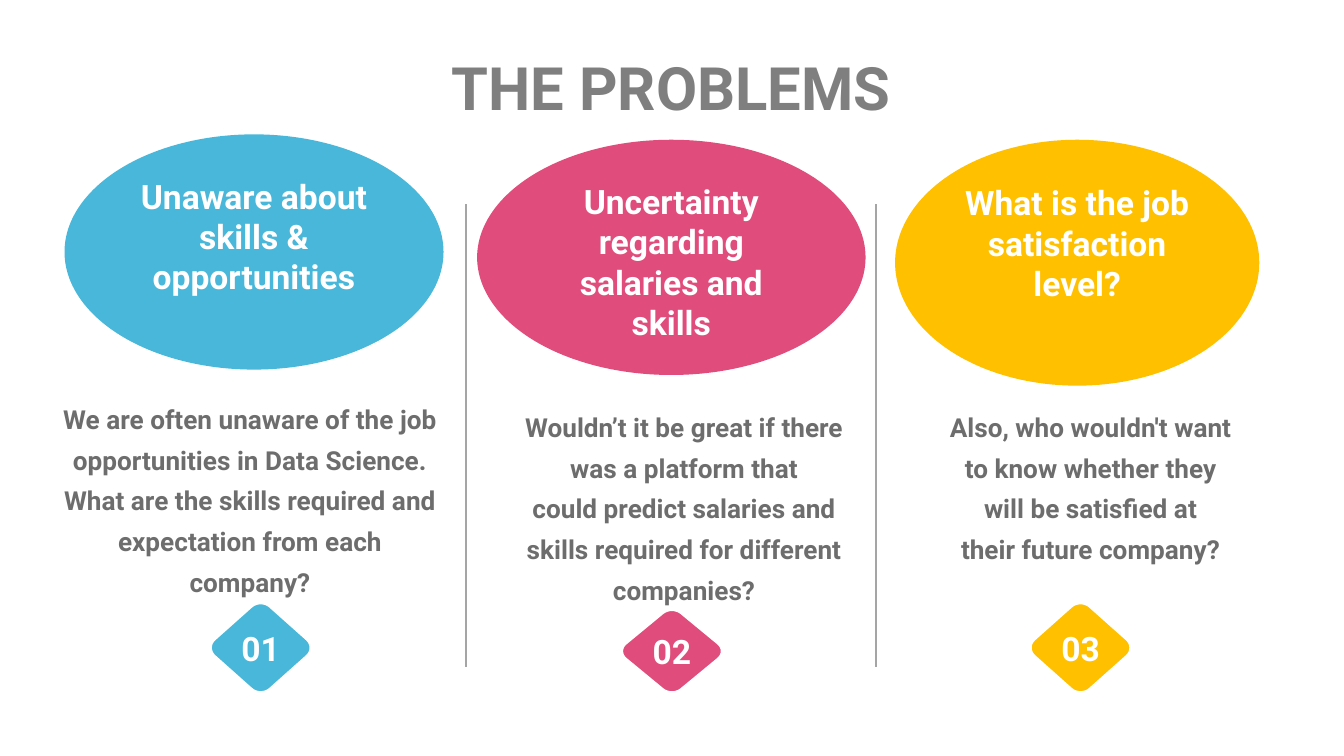
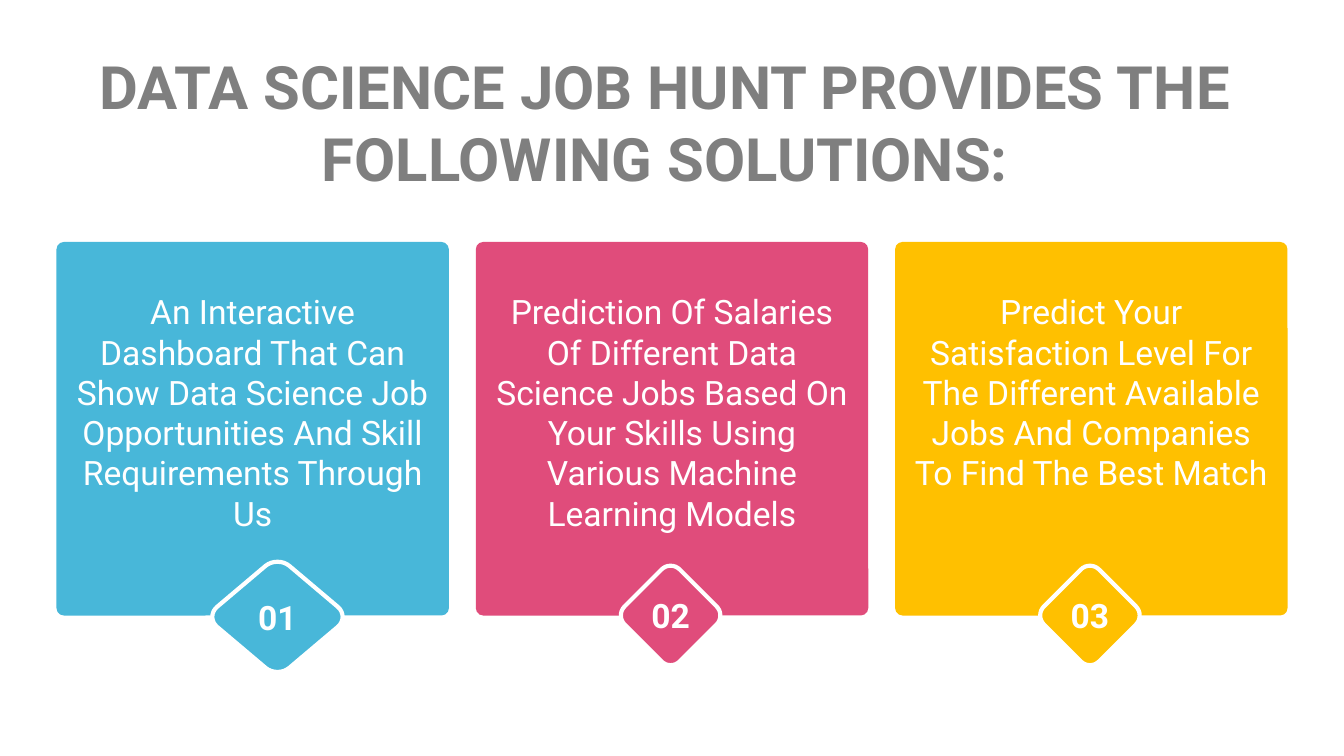
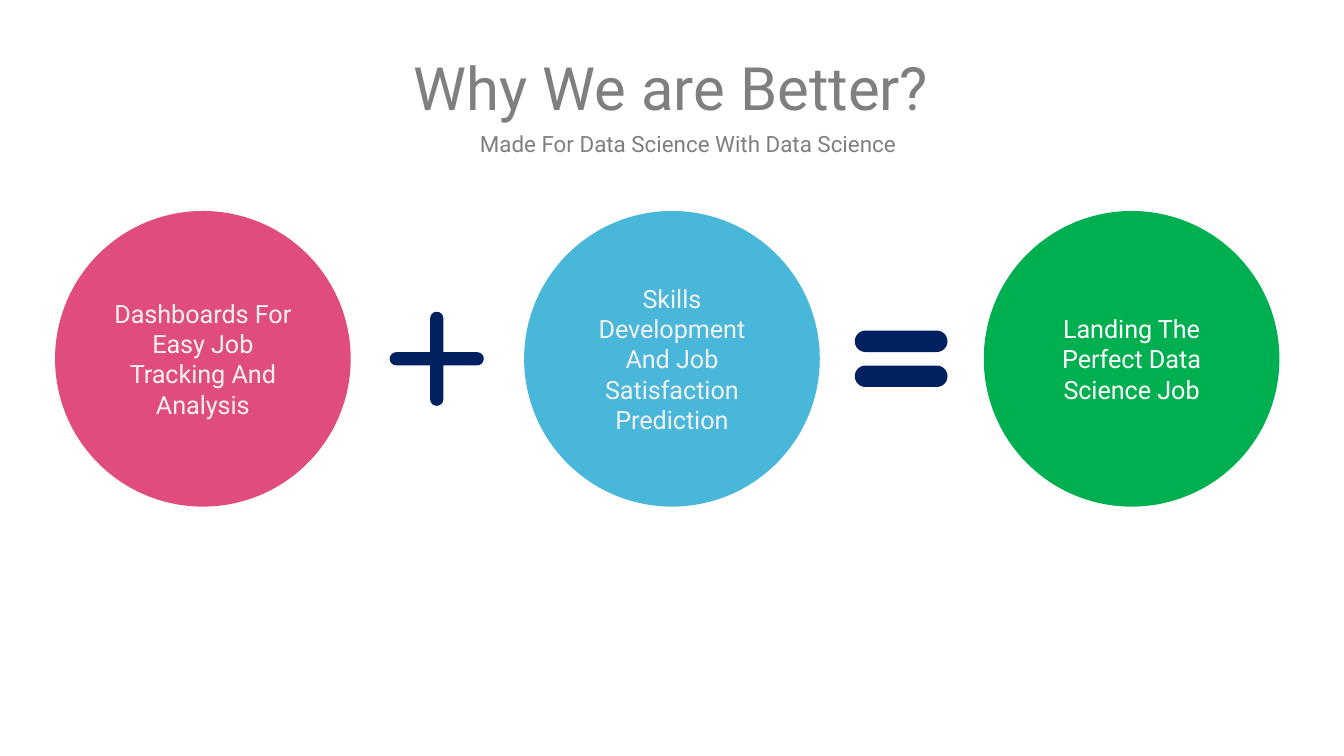
from math import cos, radians, sin

from lxml import etree
from pptx import Presentation
from pptx.dml.color import RGBColor
from pptx.enum.shapes import MSO_CONNECTOR, MSO_SHAPE as SHAPE
from pptx.enum.text import MSO_ANCHOR as ANCHOR, PP_ALIGN
from pptx.oxml.ns import qn
from pptx.util import Inches, Pt

FONT = "Roboto"
COLORS = {
    "white": "FFFFFF", "pale": "F2F2F2", "title": "7F7F7F", "body": "6D6D6D",
    "divider": "A5A5A5", "blue": "48B7D9", "pink": "E04C7B",
    "yellow": "FFC000", "green": "00B050", "navy": "002060",
}
SEQUENCE = ("blue", "pink", "yellow")
SHAPE_INSETS = (0.1, 0.05, 0.1, 0.05)
HARD_SPACE = chr(160)


def color(name):
    return RGBColor.from_string(COLORS[name])


def write(shape, *texts, size=18, ink="white", bold=False, anchor=ANCHOR.MIDDLE,
          insets=SHAPE_INSETS, spacing=None):
    """Put one centred paragraph per text into the shape."""
    frame = shape.text_frame
    frame.word_wrap = True
    frame.vertical_anchor = anchor
    (frame.margin_left, frame.margin_top,
     frame.margin_right, frame.margin_bottom) = map(Inches, insets)
    for index, text in enumerate(texts):
        paragraph = frame.add_paragraph() if index else frame.paragraphs[0]
        paragraph.alignment = PP_ALIGN.CENTER
        paragraph.line_spacing = spacing
        run = paragraph.add_run()
        run.text = text
        run.font.name = FONT
        run.font.size = Pt(size)
        run.font.bold = bold
        run.font.color.rgb = color(ink)


def add_text(slide, box, *texts, insets=(0, 0, 0, 0), **style):
    text_box = slide.shapes.add_textbox(*map(Inches, box))
    write(text_box, *texts, insets=insets, **style)


def add_title(slide, text, box=(0.42, 0.37, 9.15, 0.55), bold=True):
    add_text(slide, box, text, size=32, ink="title", bold=bold)


def paint(shape, fill, outline=None):
    """Fill the shape, with a white outline of the given width if any."""
    shape.shadow.inherit = False
    shape.fill.solid()
    shape.fill.fore_color.rgb = color(fill)
    if outline:
        shape.line.color.rgb = color("white")
        shape.line.width = Pt(outline)
    else:
        shape.line.fill.background()


def add_preset(slide, kind, box, fill):
    shape = slide.shapes.add_shape(kind, *map(Inches, box))
    paint(shape, fill)
    return shape


def arc(center_x, center_y, radius, start, end, steps=8):
    angles = [radians(start + (end - start) * i / steps) for i in range(steps + 1)]
    return [(center_x + radius * cos(a), center_y + radius * sin(a)) for a in angles]


def add_outline(slide, box, points, fill, outline=None):
    """Draw a closed outline whose points are fractions of the box."""
    left, top, width, height = box
    placed = [(Inches(left + x * width), Inches(top + y * height)) for x, y in points]
    builder = slide.shapes.build_freeform(*placed[0])
    builder.add_line_segments(placed[1:], close=True)
    shape = builder.convert_to_shape()
    paint(shape, fill, outline)
    return shape


def rounded_tips(radius, sweep):
    """Return, for each of four directions, its angle and a rounded tip."""
    reach = 0.5 - radius
    for direction in (270, 0, 90, 180):
        angle = radians(direction)
        yield direction, arc(0.5 + reach * cos(angle), 0.5 + reach * sin(angle),
                             radius, direction - sweep, direction + sweep)


def add_diamond(slide, box, number, fill, outline):
    points = [point for _, tip in rounded_tips(0.13, 45) for point in tip]
    diamond = add_outline(slide, box, points, fill, outline)
    write(diamond, f"{number:02}", bold=True)


def add_plus(slide, box):
    half = 0.07
    points = []
    for direction, tip in rounded_tips(half, 90):
        inner = radians(direction + 45)
        points += tip
        points.append((0.5 + half * 2 ** 0.5 * cos(inner),
                       0.5 + half * 2 ** 0.5 * sin(inner)))
    add_outline(slide, box, points, "navy")


def add_equals(slide, box):
    left, top, width, height = box
    bar = 0.16
    for bar_top in (top, top + height - bar):
        shape = add_preset(slide, SHAPE.ROUNDED_RECTANGLE,
                           (left, bar_top, width, bar), "navy")
        shape.adjustments[0] = 0.5


def add_divider(slide, x, top, bottom):
    line = slide.shapes.add_connector(
        MSO_CONNECTOR.STRAIGHT, Inches(x), Inches(top), Inches(x), Inches(bottom))
    line.line.color.rgb = color("divider")
    line.line.width = Pt(1)
    etree.SubElement(line._element.spPr, qn("a:effectLst"))


def build_problems(slide):
    add_title(slide, "THE PROBLEMS")
    for x in (3.47, 6.52):
        add_divider(slide, x, 1.52, 4.96)
    problems = [
        ("Unaware about skills & opportunities", (0.48, 1, 2.82, 1.75),
         ("We are often unaware of the job opportunities in Data Science.",
          "What are the skills required and expectation from each company?"),
         (0.42, 2.93, 2.88, 1.48), (1.57, 4.49, 0.74, 0.66)),
        ("Uncertainty regarding salaries and skills", (3.55, 1.04, 2.89, 1.75),
         (f"Wouldn’t it be great if there was a platform that could{HARD_SPACE}predict "
          "salaries and skills required for different companies?",),
         (3.87, 2.99, 2.44, 1.42), (4.63, 4.54, 0.74, 0.61)),
        ("What is the job satisfaction level?", (6.66, 1.04, 2.71, 1.83),
         ("Also, who wouldn't want to know whether they will be satisfied at "
          f"their{HARD_SPACE}future company?",),
         (7.01, 2.99, 2.21, 1.6), (7.67, 4.49, 0.74, 0.66)),
    ]
    for number, (problem, fill) in enumerate(zip(problems, SEQUENCE), 1):
        heading, oval_box, details, details_box, diamond_box = problem
        oval = add_preset(slide, SHAPE.OVAL, oval_box, fill)
        write(oval, heading, bold=True, anchor=ANCHOR.TOP)
        add_text(slide, details_box, *details, size=14, ink="body", bold=True,
                 anchor=ANCHOR.TOP, spacing=1.3)
        add_diamond(slide, diamond_box, number, fill, 1)


def build_solutions(slide):
    add_title(slide, "DATA SCIENCE JOB HUNT PROVIDES THE FOLLOWING SOLUTIONS:",
              (0.43, 0.37, 9.04, 1.07))
    solutions = [
        ("An Interactive Dashboard That Can Show Data Science Job Opportunities "
         "And Skill Requirements Through Us", (1.58, 4.18, 0.97, 0.82)),
        ("Prediction Of Salaries Of Different Data Science Jobs Based On Your "
         "Skills Using Various Machine Learning Models", (4.62, 4.21, 0.74, 0.74)),
        ("Predict Your Satisfaction Level For The Different Available Jobs And "
         "Companies To Find The Best Match", (7.74, 4.21, 0.74, 0.74)),
    ]
    card_left, card_width, card_gap = 0.42, 2.92, 0.2
    for index, ((text, diamond_box), fill) in enumerate(zip(solutions, SEQUENCE)):
        left = card_left + index * (card_width + card_gap)
        card = add_preset(slide, SHAPE.ROUNDED_RECTANGLE,
                          (left, 1.8, card_width, 2.78), fill)
        card.adjustments[0] = 0.02
        write(card, text, anchor=ANCHOR.TOP, insets=(0.1, 0.35, 0.1, 0.05))
        add_diamond(slide, diamond_box, index + 1, fill, 2.25)


def build_advantages(slide):
    add_title(slide, "Why We are Better?", bold=False)
    add_text(slide, (0.42, 0.97, 9.15, 0.19), "Made For Data Science With Data Science",
             size=12, ink="title", insets=(0.25, 0, 0, 0))
    circles = [
        (0.41, "Dashboards For Easy Job Tracking And Analysis", "pink", "pale"),
        (3.9, "Skills Development And Job Satisfaction Prediction", "blue", "pale"),
        (7.32, f"Landing The Perfect{HARD_SPACE}Data Science Job", "green", "white"),
    ]
    for left, text, fill, ink in circles:
        circle = add_preset(slide, SHAPE.OVAL, (left, 1.57, 2.2, 2.2), fill)
        write(circle, text, size=13.5, ink=ink, insets=(0.07, 0.04, 0.07, 0.04))
    add_plus(slide, (2.9, 2.32, 0.7, 0.7))
    add_equals(slide, (6.36, 2.46, 0.69, 0.42))


def main():
    presentation = Presentation()
    presentation.slide_width = Inches(10)
    presentation.slide_height = Inches(10) * 9 // 16
    for build in (build_problems, build_solutions, build_advantages):
        build(presentation.slides.add_slide(presentation.slide_layouts[6]))
    presentation.save("out.pptx")


if __name__ == "__main__":
    main()
